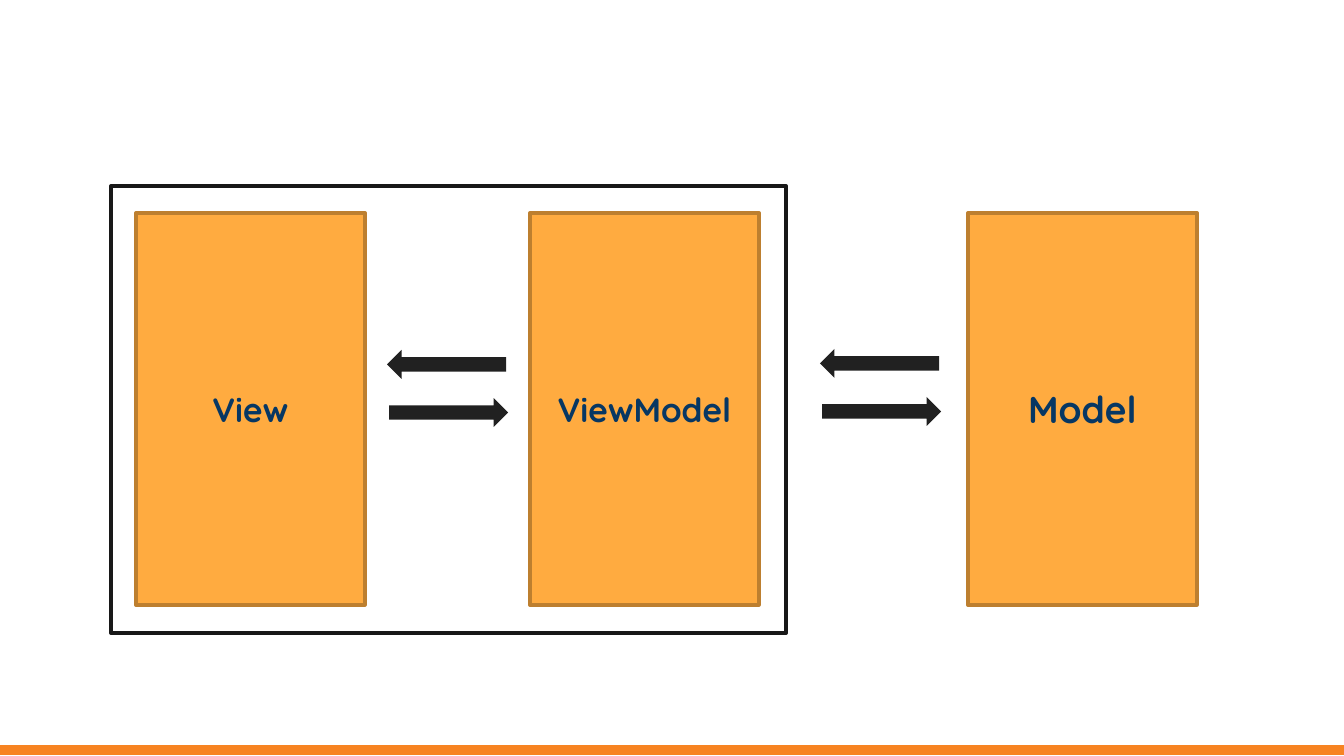
from dataclasses import dataclass

from pptx import Presentation
from pptx.dml.color import RGBColor
from pptx.enum.shapes import MSO_SHAPE as Shape
from pptx.enum.text import MSO_ANCHOR as Anchor, PP_ALIGN as Align
from pptx.util import Pt

EMU_PER_PX = 914400 / 134.4


def px(length):
    return round(length * EMU_PER_PX)


@dataclass(frozen=True)
class Theme:
    font: str = "Quicksand"
    paper: str = "FFFFFF"
    frame_line: str = "181818"
    footer: str = "F78321"
    box_fill: str = "FFAB40"
    box_line: str = "BD7F2F"
    label: str = "073763"
    arrow: str = "212121"
    label_size: int = 18
    model_size: int = 20


def write(shape, text, *, font, size, color, bold=True):
    """Put one centred line of text in the middle of a shape."""
    frame = shape.text_frame
    frame.word_wrap = True
    frame.vertical_anchor = Anchor.MIDDLE
    line = frame.paragraphs[0]
    line.alignment = Align.CENTER
    run = line.add_run()
    run.text = text
    run.font.name = font
    run.font.size = Pt(size)
    run.font.bold = bold
    run.font.color.rgb = RGBColor.from_string(color)


class Diagram:
    def __init__(self, slide, theme):
        self.slide = slide
        self.theme = theme

    def block(self, left, top, width, height, *, fill, line=None, weight=2,
              kind=Shape.RECTANGLE):
        shape = self.slide.shapes.add_shape(
            kind, px(left), px(top), px(width), px(height))
        shape.shadow.inherit = False
        shape.fill.solid()
        shape.fill.fore_color.rgb = RGBColor.from_string(fill)
        if line:
            shape.line.color.rgb = RGBColor.from_string(line)
            shape.line.width = Pt(weight)
        else:
            shape.line.fill.background()
        return shape

    def layer(self, name, left, size):
        box = self.block(left, 213, 229, 392, fill=self.theme.box_fill,
                         line=self.theme.box_line)
        write(box, name, font=self.theme.font, size=size,
              color=self.theme.label)

    def exchange(self, left, top):
        """Draw a pair of opposite arrows, the lower one turned around."""
        for shift, drop, turn in ((0, 0, 0), (2, 48, 180)):
            arrow = self.block(left + shift, top + drop, 119, 29,
                               fill=self.theme.arrow, kind=Shape.LEFT_ARROW)
            arrow.rotation = turn


def main():
    deck = Presentation()
    deck.slide_width, deck.slide_height = px(1344), px(756)
    theme = Theme()
    diagram = Diagram(deck.slides.add_slide(deck.slide_layouts[6]), theme)

    # Frame around View and ViewModel, and the footer bar
    diagram.block(111, 186, 675, 447, fill=theme.paper, line=theme.frame_line)
    diagram.block(0, 746, 1344, 8, fill=theme.footer, line=theme.footer,
                  weight=0.75)

    # Layers
    for name, left, size in (("View", 136, theme.label_size),
                             ("ViewModel", 530, theme.label_size),
                             ("Model", 968, theme.model_size)):
        diagram.layer(name, left, size)

    # Exchanges between neighbouring layers
    for left, top in ((387, 350), (820, 349)):
        diagram.exchange(left, top)

    deck.save("out.pptx")


if __name__ == "__main__":
    main()
